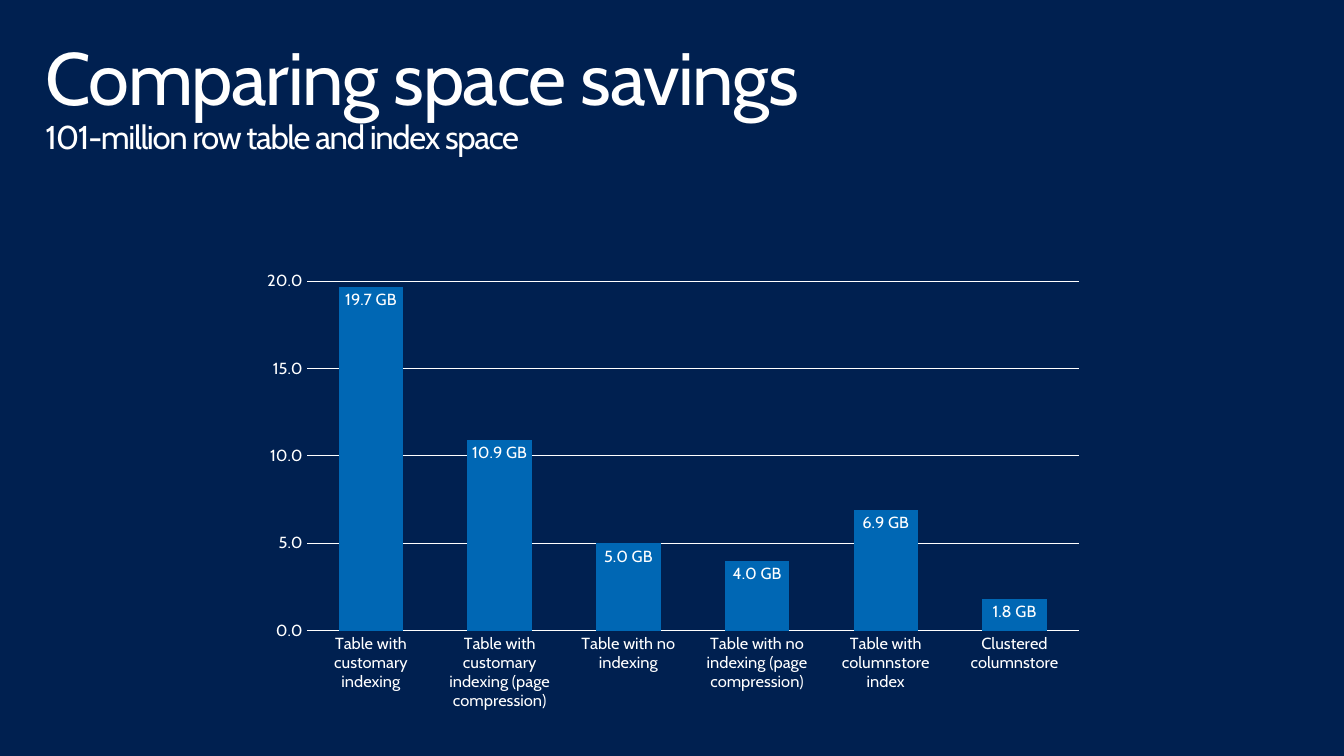
from lxml.etree import SubElement
from pptx import Presentation
from pptx.chart.data import CategoryChartData
from pptx.dml.color import RGBColor
from pptx.enum.chart import XL_CHART_TYPE as ChartType, XL_LABEL_POSITION as LabelPos, XL_TICK_MARK as Tick
from pptx.enum.text import MSO_ANCHOR as Anchor
from pptx.oxml.ns import qn
from pptx.util import Cm, Pt

HEADING = [("Comparing space savings", 54), ("101-million row table and index space", 24)]
SPACE_GB = {
    "Table with customary indexing": 19.7,
    "Table with customary indexing (page compression)": 10.9,
    "Table with no indexing": 5.0,
    "Table with no indexing (page compression)": 4.0,
    "Table with columnstore index": 6.9,
    "Clustered columnstore": 1.8,
}
COLORS = {"background": "002050", "text": "FFFFFF", "bar": "0067B4"}
FONT = "Cabin"
SLIDE_SIZE = Cm(34.54), Cm(19.43)
HEADING_BOX = Cm(0.76), Cm(0.81), Cm(33.02), Cm(2.54)
CHART_BOX = Cm(6.6), Cm(5.05), Cm(21.34), Cm(13.21)
PLOT_LAYOUT = {"layoutTarget": "inner", "xMode": "edge", "yMode": "edge",
               "x": 0.06, "y": 0.17, "w": 0.93, "h": 0.7}
HEADING_FORMAT = {"word_wrap": True, "vertical_anchor": Anchor.TOP,
                  "margin_left": Cm(0.41), "margin_right": Cm(0.41),
                  "margin_top": Cm(0.25), "margin_bottom": Cm(0.25)}
AXIS_FORMAT = {"major_tick_mark": Tick.NONE, "minor_tick_mark": Tick.NONE}
SCALE_FORMAT = {"minimum_scale": 0, "maximum_scale": 20, "major_unit": 5,
                "has_major_gridlines": True}
LABEL_FORMAT = {"show_value": True, "position": LabelPos.INSIDE_END,
                "number_format": '0.0" GB"', "number_format_is_linked": False}


def apply(target, formats):
    for attribute, value in formats.items():
        setattr(target, attribute, value)


def color(name):
    return RGBColor.from_string(COLORS[name])


def style_font(font, size):
    apply(font, {"name": FONT, "size": Pt(size), "bold": False})
    font.color.rgb = color("text")


def style_line(line):
    line.color.rgb = color("text")
    line.width = Pt(0.75)


def add_heading(slide):
    frame = slide.shapes.add_textbox(*HEADING_BOX).text_frame
    apply(frame, HEADING_FORMAT)
    paragraph = frame.paragraphs[0]
    paragraph.line_spacing = 0.9
    for index, (words, size) in enumerate(HEADING):
        if index:
            paragraph.add_line_break()
        run = paragraph.add_run()
        run.text = words
        style_font(run.font, size)
        run.font._element.set("spc", "-100")


def place_plot(chart):
    plot_area = chart._chartSpace.chart.plotArea
    for default in plot_area.findall(qn("c:layout")):
        plot_area.remove(default)
    layout = SubElement(plot_area, qn("c:layout"))
    plot_area.insert(0, layout)
    manual = SubElement(layout, qn("c:manualLayout"))
    for tag, value in PLOT_LAYOUT.items():
        SubElement(manual, qn(f"c:{tag}")).set("val", str(value))


def add_space_chart(slide):
    space = CategoryChartData(number_format="0.0")
    space.categories = list(SPACE_GB)
    space.add_series("Series 1", list(SPACE_GB.values()))
    chart = slide.shapes.add_chart(ChartType.COLUMN_CLUSTERED, *CHART_BOX, space).chart
    apply(chart, {"has_title": False, "has_legend": False})
    style_font(chart.font, 10)
    place_plot(chart)

    tables, gigabytes = chart.category_axis, chart.value_axis
    for axis in (tables, gigabytes):
        apply(axis, AXIS_FORMAT)
        style_font(axis.tick_labels.font, 12)
    apply(gigabytes, SCALE_FORMAT)
    apply(gigabytes.tick_labels, {"number_format": "0.0", "number_format_is_linked": False})
    gigabytes.format.line.fill.background()
    style_line(gigabytes.major_gridlines.format.line)
    style_line(tables.format.line)

    bars = chart.plots[0]
    apply(bars, {"gap_width": 100, "overlap": -24, "vary_by_categories": False})
    savings = bars.series[0]
    savings.format.fill.solid()
    savings.format.fill.fore_color.rgb = color("bar")
    apply(savings.data_labels, LABEL_FORMAT)
    style_font(savings.data_labels.font, 12)


def main():
    """Build the slide that compares table and index space."""
    deck = Presentation()
    deck.slide_width, deck.slide_height = SLIDE_SIZE
    slide = deck.slides.add_slide(deck.slide_layouts[6])
    slide.background.fill.solid()
    slide.background.fill.fore_color.rgb = color("background")
    add_heading(slide)
    add_space_chart(slide)
    deck.save("out.pptx")


if __name__ == "__main__":
    main()
